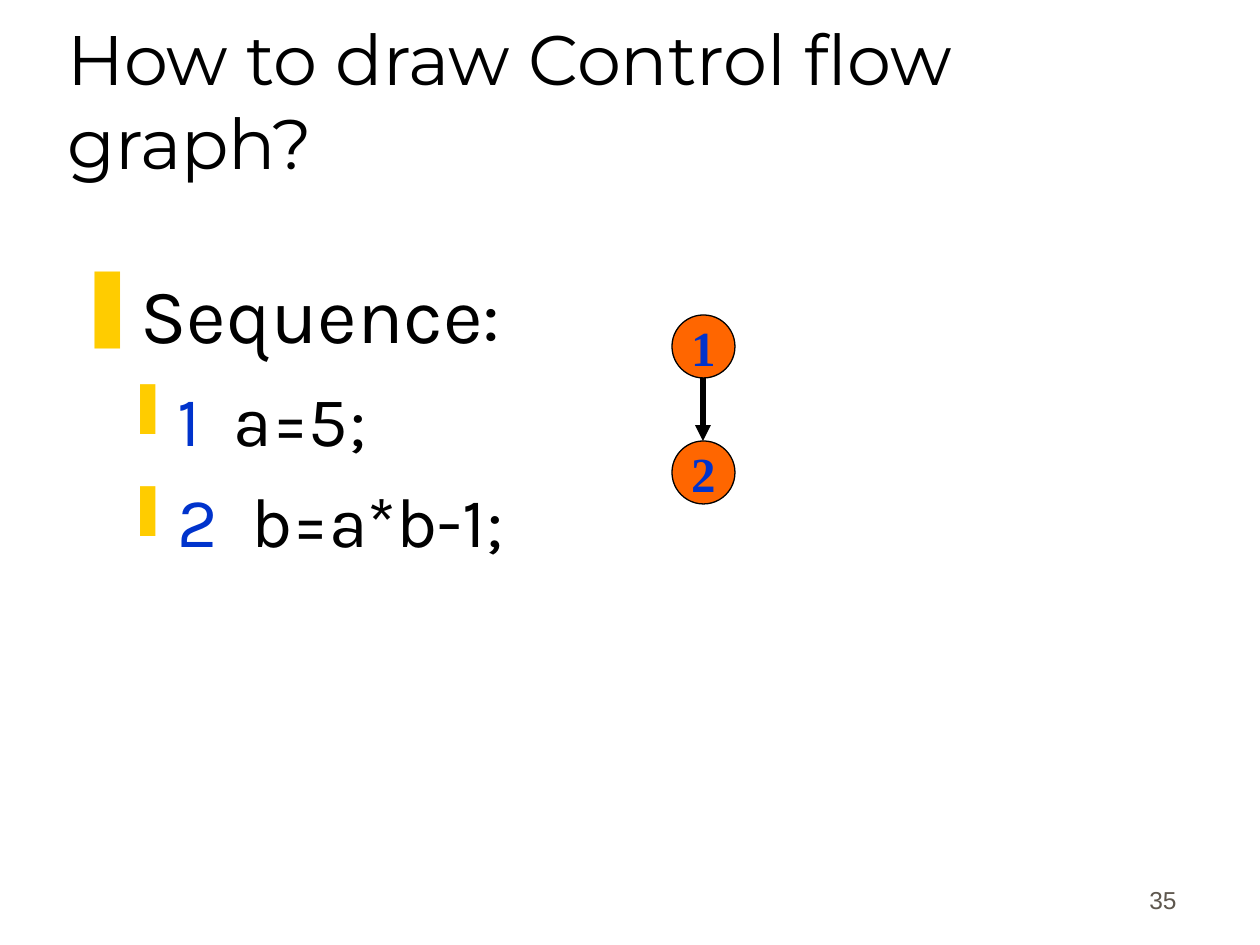
import dataclasses
import typing

import lxml.etree
import pptx
import pptx.dml.color
import pptx.enum.shapes
import pptx.enum.text
import pptx.oxml.ns
import pptx.util

RGB = pptx.dml.color.RGBColor
ALIGN = pptx.enum.text.PP_ALIGN
ANCHOR = pptx.enum.text.MSO_ANCHOR
BLACK = RGB(0x00, 0x00, 0x00)
BLUE = RGB(0x00, 0x33, 0xCC)
GREY = RGB(0x5E, 0x57, 0x4E)
ORANGE = RGB(0xFF, 0x66, 0x00)
GOLD = RGB(0xFF, 0xCC, 0x00)
SCALE = 914400 / 126
SIZE = 63  # node width, also the gap between nodes


@dataclasses.dataclass
class Run:
    text: str
    color: RGB
    font: str
    size: int
    bold: bool = False


@dataclasses.dataclass
class Bullet:
    mark: str
    left: int
    hang: int


@dataclasses.dataclass
class Para:
    runs: list[Run]
    align: ALIGN = ALIGN.LEFT
    space: int = 0
    level: int = 0
    bullet: typing.Optional[Bullet] = None


@dataclasses.dataclass
class Box:
    left: int
    top: int
    width: int
    height: int
    paras: list[Para]
    anchor: ANCHOR = ANCHOR.TOP


@dataclasses.dataclass
class Node:
    text: str
    left: int
    top: int


def px(num: int) -> int:
    return round(num * SCALE)


def apply(target: typing.Any, form: dict[str, typing.Any]) -> None:
    for name, value in form.items():
        setattr(target, name, value)


def mark(para: typing.Any, bullet: Bullet) -> None:
    """Give a paragraph a gold bullet and a hanging indent."""
    props = para._p.get_or_add_pPr()
    props.set("marL", str(px(bullet.left)))
    props.set("indent", str(-px(bullet.hang)))
    qn = pptx.oxml.ns.qn
    tint = lxml.etree.SubElement(props, qn("a:buClr"))
    lxml.etree.SubElement(tint, qn("a:srgbClr")).set("val", str(GOLD))
    lxml.etree.SubElement(props, qn("a:buChar")).set("char", bullet.mark)


def write(frame: typing.Any, paras: list[Para]) -> None:
    for i, item in enumerate(paras):
        para = frame.add_paragraph() if i else frame.paragraphs[0]
        if item.bullet:
            mark(para, item.bullet)
        apply(para, {"alignment": item.align, "level": item.level,
                     "space_before": pptx.util.Pt(item.space)})
        for part in item.runs:
            run = para.add_run()
            run.text = part.text
            apply(run.font, {"name": part.font, "bold": part.bold,
                             "size": pptx.util.Pt(part.size)})
            run.font.color.rgb = part.color


def add_box(slide: typing.Any, box: Box) -> None:
    edges = map(px, (box.left, box.top, box.width, box.height))
    frame = slide.shapes.add_textbox(*edges).text_frame
    apply(frame, {"word_wrap": True, "vertical_anchor": box.anchor})
    write(frame, box.paras)


def add_node(slide: typing.Any, node: Node) -> None:
    shape = slide.shapes.add_shape(
        pptx.enum.shapes.MSO_SHAPE.OVAL,
        *map(px, (node.left, node.top, SIZE, SIZE)))
    shape.shadow.inherit = False
    shape.fill.solid()
    shape.fill.fore_color.rgb = ORANGE
    shape.line.color.rgb = BLACK
    shape.line.width = pptx.util.Pt(0.75)
    frame = shape.text_frame
    apply(frame, {"word_wrap": False, "vertical_anchor": ANCHOR.MIDDLE})
    label = Run(node.text, BLUE, "Times New Roman", 28, True)
    write(frame, [Para([label], ALIGN.CENTER)])


def add_edge(slide: typing.Any, start: Node, end: Node) -> None:
    """Draw an arrow from the foot of one node to the top of the next."""
    half = SIZE // 2
    line = slide.shapes.add_connector(
        pptx.enum.shapes.MSO_CONNECTOR.STRAIGHT,
        *map(px, (start.left + half, start.top + SIZE,
                  end.left + half, end.top)))
    line.line.color.rgb = BLACK
    line.line.width = pptx.util.Pt(3)
    qn = pptx.oxml.ns.qn
    tail = lxml.etree.SubElement(line.line._get_or_add_ln(), qn("a:tailEnd"))
    tail.set("type", "triangle")
    lxml.etree.SubElement(line._element.spPr, qn("a:effectLst"))


def step(num: str, code: str) -> Para:
    runs = [Run(num, BLUE, "Karla", 40), Run(code, BLACK, "Karla", 40)]
    return Para(runs, space=10, level=1, bullet=Bullet("❙", 102, 39))


def main() -> None:
    deck = pptx.Presentation()
    apply(deck, {"slide_width": px(1260), "slide_height": px(945)})
    slide = deck.slides.add_slide(deck.slide_layouts[6])

    title = Run("How to draw Control flow graph?", BLACK, "Montserrat", 40)
    head = Run("Sequence:", BLACK, "Karla", 44)
    page = Run("35", GREY, "Arial", 14)
    body = [Para([head], bullet=Bullet("❚", 48, 48)),
            step("1", "  a=5;"), step("2", "  b=a*b-1;")]
    boxes = [
        Box(927, 858, 262, 63, [Para([page], ALIGN.RIGHT)], ANCHOR.BOTTOM),
        Box(55, 32, 1071, 158, [Para([title])], ANCHOR.BOTTOM),
        Box(63, 260, 1126, 575, body),
    ]
    for box in boxes:
        add_box(slide, box)

    nodes = [Node(str(i + 1), 672, 315 + 2 * SIZE * i) for i in range(2)]
    for node in nodes:
        add_node(slide, node)
    add_edge(slide, *nodes)
    deck.save("out.pptx")


if __name__ == "__main__":
    main()
